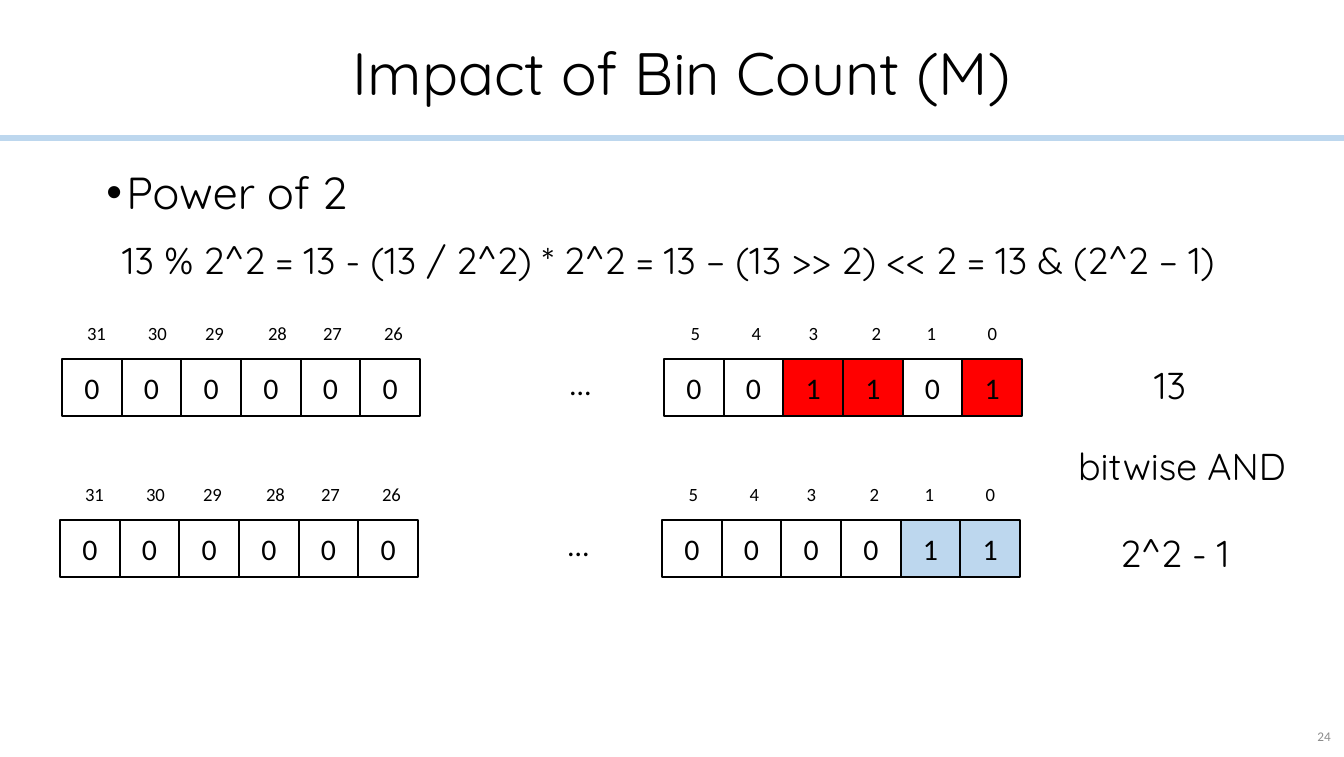
import pptx
import pptx.util
from lxml import etree
from pptx.dml.color import RGBColor
from pptx.enum.shapes import MSO_SHAPE
from pptx.enum.text import MSO_ANCHOR, PP_ALIGN
from pptx.oxml.ns import qn

THEME = {
    "black": "000000", "gray": "8C8C8C", "red": "FF0000", "blue": "BDD7EE",
    "head": "Quicksand", "plain": "Calibri", "mark": "Arial",
    "title": 32, "bullet": 24, "body": 20, "bit": 16, "index": 10, "page": 7.1,
}
L, C, R = PP_ALIGN.LEFT, PP_ALIGN.CENTER, PP_ALIGN.RIGHT

# text, (left, top, width, height), size, alignment
HEADINGS = [
    ("Impact of Bin Count (M)", (20, 37, 1324, 81), "title", C),
    ("Power of 2", (93, 164, 1189, 531), "bullet", L),
    ("13 % 2^2 = 13 - (13 / 2^2) * 2^2 = 13 – (13 >> 2) << 2 = 13 & (2^2 – 1)",
     (109, 235, 1235, 106), "body", L),
    ("13", (1141, 360, 203, 106), "body", L),
    ("2^2 - 1", (1107, 528, 237, 106), "body", L),
    ("bitwise AND", (1065, 441, 251, 106), "body", L),
]
PAGE = ("24", (1298, 716, 46, 40))

# left, top, high bits, low bits, positions of highlighted low bits, highlight
REGISTERS = [
    (62, 359, "000000", "001101", {2, 3, 5}, "red"),
    (60, 520, "000000", "000011", {4, 5}, "blue"),
]
# first bit index, offset from the register's left, nudge of the index labels
GROUPS = [(31, 0, 4), (5, 602, 1)]
INDEX_OFFSETS = [7, 68, 125, 188, 243, 304]
GROUP_W, CELL_H = 358, 57
CELL_W = GROUP_W / len(INDEX_OFFSETS)
INDEX_RISE, ELLIPSIS_X = 44, 495

EMU_PER_PX = 914400 / 134.4


def px(*values):
    return [pptx.util.Emu(round(v * EMU_PER_PX)) for v in values]


def color(name):
    return RGBColor.from_string(THEME[name])


def write(sp, text, size, align=L, font="plain", ink="black", wrap=True,
          anchor=MSO_ANCHOR.TOP, bullet=False):
    tf = sp.text_frame
    tf.word_wrap, tf.vertical_anchor = wrap, anchor
    p = tf.paragraphs[0]
    p.text, p.alignment = text, align
    if font == "head":
        p.line_spacing = 0.9
    if bullet:
        indent = px(20)[0]
        pPr = p._p.get_or_add_pPr()
        pPr.set("marL", str(indent))
        pPr.set("indent", str(-indent))
        etree.SubElement(pPr, qn("a:buFont")).set("typeface", THEME["mark"])
        etree.SubElement(pPr, qn("a:buChar")).set("char", "•")
    f = p.runs[0].font
    for key, value in {"size": pptx.util.Pt(THEME[size]),
                       "name": THEME[font]}.items():
        setattr(f, key, value)
    f.color.rgb = color(ink)


def add_text(s, text, box, size, align=L, **style):
    write(s.shapes.add_textbox(*px(*box)), text, size, align, **style)


def add_box(s, box, fill, line):
    sp = s.shapes.add_shape(MSO_SHAPE.RECTANGLE, *px(*box))
    sp.shadow.inherit = False
    if fill:
        sp.fill.solid()
        sp.fill.fore_color.rgb = color(fill)
    else:
        sp.fill.background()
    sp.line.color.rgb = color(line)
    sp.line.width = pptx.util.Pt(1)
    return sp


def add_register(s, left, top, high, low, marked, highlight):
    """Draw both ends of a 32-bit register with an ellipsis between them."""
    for (first, shift, nudge), bits, hot in zip(GROUPS, (high, low),
                                                (set(), marked)):
        x = left + shift
        for i, bit in enumerate(bits):
            sp = add_box(s, (x + i * CELL_W, top, CELL_W, CELL_H),
                         highlight if i in hot else None, "black")
            write(sp, bit, "bit", C, anchor=MSO_ANCHOR.MIDDLE)
            box = (x + nudge + INDEX_OFFSETS[i], top - INDEX_RISE, 47, 36)
            add_text(s, str(first - i), box, "index", C, wrap=False)
    add_text(s, "…", (left + ELLIPSIS_X, top, 59, 50), "bit")


def main():
    prs = pptx.Presentation()
    prs.slide_width = pptx.util.Inches(10)
    prs.slide_height = pptx.util.Inches(5.63)
    s = prs.slides.add_slide(prs.slide_layouts[6])
    add_box(s, (0, 136, 1344, 4), "blue", "blue")
    for text, box, size, align in HEADINGS:
        add_text(s, text, box, size, align, font="head", bullet=size == "bullet")
    for register in REGISTERS:
        add_register(s, *register)
    add_text(s, *PAGE, "page", R, ink="gray", anchor=MSO_ANCHOR.MIDDLE)
    prs.save("out.pptx")


if __name__ == "__main__":
    main()
